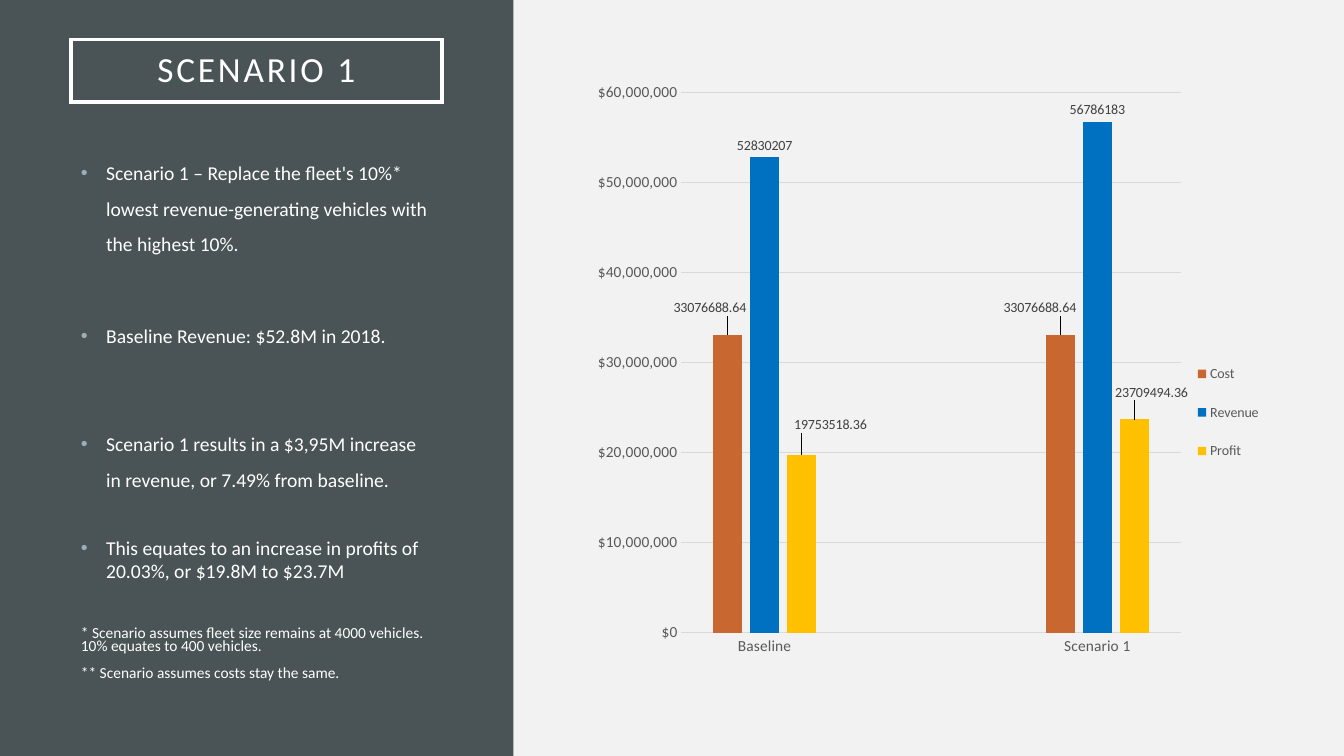
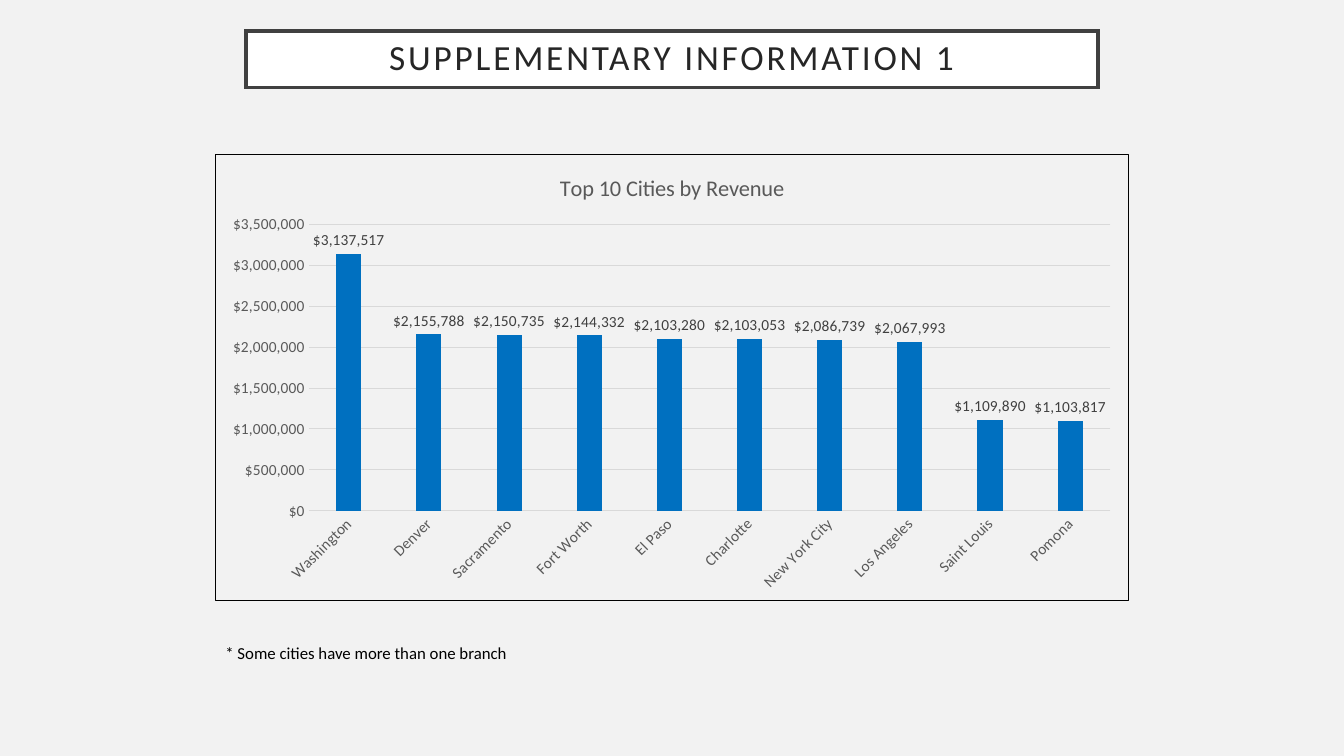
from lxml import etree
from pptx import Presentation
from pptx import util as u
from pptx.chart.data import CategoryChartData
from pptx.dml.color import RGBColor
from pptx.enum import chart as ch, shapes, text
from pptx.oxml import parse_xml
from pptx.oxml.ns import nsdecls, qn

# Content: boxes are left, top, width, height in percent of the slide
HUES = dict(page="F2F2F2", panel="4A5356", white="FFFFFF", frame="404040",
            title="262626", dot="9BAFB5", axis="595959", grid="D9D9D9",
            black="000000", cost="C96731", blue="0070C0", profit="FFC000")
FONT = "Calibri"
MONEY = "[$$-409]#,##0"
# text, size, line spacing, points before, bullet
POINTS = [
    ("Scenario 1 – Replace the fleet's 10%* lowest revenue-generating "
     "vehicles with the highest 10%.", 14, 1.52, 0, True),
    ("Baseline Revenue: $52.8M in 2018.", 14, 1, 48.5, True),
    ("Scenario 1 results in a $3,95M increase in revenue, or 7.49% from "
     "baseline.", 14, 1.52, 52, True),
    ("This equates to an increase in profits of 20.03%, or $19.8M to $23.7M",
     14, 1, 31.5, True),
    ("* Scenario assumes fleet size remains at 4000 vehicles. 10% equates "
     "to 400 vehicles.", 11, 0.7, 32.5, False),
    ("** Scenario assumes costs stay the same.", 11, 0.7, 10, False),
]
# name, colour, values, label shifts by point in percent of the chart
PLANS = ["Baseline", "", "Scenario 1"]
FLEET = [
    ("Cost", "cost", [33076688.64, None, 33076688.64],
     {0: (-2.6, -2.5), 2: (-3, -2.5)}),
    ("Revenue", "blue", [52830207, None, 56786183], {}),
    ("Profit", "profit", [19753518.36, None, 23709494.36],
     {0: (4.2, -3), 2: (2.5, -2.5)}),
]
CITIES = {"Washington": 3137517, "Denver": 2155788, "Sacramento": 2150735,
          "Fort Worth": 2144332, "El Paso": 2103280, "Charlotte": 2103053,
          "New York City": 2086739, "Los Angeles": 2067993,
          "Saint Louis": 1109890, "Pomona": 1103817}

deck = Presentation()
deck.slide_width, deck.slide_height = u.Inches(13.33), u.Inches(7.5)


def rgb(hue):
    return RGBColor.from_string(HUES[hue])


def place(box):
    sides = (deck.slide_width, deck.slide_height) * 2
    return [int(part * side / 100) for part, side in zip(box, sides)]


# Text
def style(font, size, hue):
    font.name, font.size, font.bold = FONT, u.Pt(size), False
    font.color.rgb = rgb(hue)


def write(para, words, size=14, hue="white", line=1, before=0, dot=False,
          space=0, align=None):
    run = para.add_run()
    run.text = words
    style(run.font, size, hue)
    para.line_spacing, para.space_before = line, u.Pt(before)
    para.alignment = align
    if space:
        run.font._element.set("spc", str(space * 100))
    if dot:
        props = para._p.get_or_add_pPr()
        props.set("marL", str(u.Inches(0.25)))
        props.set("indent", str(-u.Inches(0.25)))
        tint = etree.SubElement(props, qn("a:buClr"))
        etree.SubElement(tint, qn("a:srgbClr")).set("val", HUES["dot"])
        etree.SubElement(props, qn("a:buFont")).set("typeface", "Arial")
        etree.SubElement(props, qn("a:buChar")).set("char", "•")


def frame(slide, box):
    body = slide.shapes.add_textbox(*place(box)).text_frame
    body.word_wrap = True
    return body


# Shared page parts
def block(slide, box, fill=None, line=None):
    shape = slide.shapes.add_shape(shapes.MSO_SHAPE.RECTANGLE, *place(box))
    shape.shadow.inherit = False
    if fill:
        shape.fill.solid()
        shape.fill.fore_color.rgb = rgb(fill)
    else:
        shape.fill.background()
    if line:
        shape.line.color.rgb = rgb(line)
        shape.line.width = u.Pt(2.5)
        edge = shape._element.spPr.find(qn("a:ln"))
        etree.SubElement(edge, qn("a:miter")).set("lim", "800000")
    else:
        shape.line.fill.background()
    return shape


def page():
    slide = deck.slides.add_slide(deck.slide_layouts[6])
    slide.background.fill.solid()
    slide.background.fill.fore_color.rgb = rgb("page")
    return slide


def title(slide, words, box, hue, line, fill=None):
    body = block(slide, box, fill, line).text_frame
    body.word_wrap = True
    body.vertical_anchor = text.MSO_ANCHOR.MIDDLE
    body.margin_left = body.margin_right = u.Inches(0.2)
    body.margin_top = body.margin_bottom = u.Inches(0.2)
    write(body.paragraphs[0], words, size=25.2, hue=hue, line=0.9, space=2,
          align=text.PP_ALIGN.CENTER)


# Charts
def layout(inner=False, edge=True, **spots):
    """Manual layout; spots x, y, w, h are percent of the chart."""
    rows = '<c:layoutTarget val="inner"/>' if inner else ""
    if edge:
        rows += '<c:xMode val="edge"/><c:yMode val="edge"/>'
    rows += "".join(f'<c:{key} val="{val / 100:.3f}"/>'
                    for key, val in spots.items())
    return parse_xml(f'<c:layout {nsdecls("c")}><c:manualLayout>{rows}'
                     '</c:manualLayout></c:layout>')


def set_plan(node, plan, after=None):
    for old in node.findall(qn("c:layout")):
        node.remove(old)
    if after is None:
        node.insert(0, plan)
    else:
        node.find(qn(after)).addnext(plan)


def border(chart, hue=None):
    line = (f'<a:ln w="9525"><a:solidFill><a:srgbClr val="{HUES[hue]}"/>'
            '</a:solidFill></a:ln>' if hue else '<a:ln><a:noFill/></a:ln>')
    props = parse_xml(f'<c:spPr {nsdecls("c", "a")}><a:noFill/>{line}</c:spPr>')
    chart._chartSpace.find(qn("c:txPr")).addprevious(props)


def no_leads(tags):
    """Turn off the lines from shifted labels to their bars."""
    tags._element.append(parse_xml(
        f'<c:extLst {nsdecls("c")}>'
        '<c:ext uri="{CE6537A1-D6FC-4f65-9D91-7224C49458BB}" xmlns:c15='
        '"http://schemas.microsoft.com/office/drawing/2012/chart">'
        '<c15:showLeaderLines val="0"/></c:ext></c:extLst>'))


def bars(slide, box, cats, rows, area, top, step, size=10, fmt="General"):
    data = CategoryChartData(number_format=fmt)
    data.categories = cats
    for name, _, vals, _ in rows:
        data.add_series(name, vals)
    chart = slide.shapes.add_chart(ch.XL_CHART_TYPE.COLUMN_CLUSTERED,
                                   *place(box), data).chart
    style(chart.font, 10, "black")
    chart.has_title = chart.has_legend = False
    plot = chart.plots[0]
    plot.gap_width, plot.overlap, plot.vary_by_categories = 219, -27, False
    set_plan(chart._chartSpace.chart.plotArea,
             layout(inner=True, **dict(zip("xywh", area))))

    for axis in (chart.category_axis, chart.value_axis):
        style(axis.tick_labels.font, 11, "axis")
        axis.major_tick_mark = axis.minor_tick_mark = ch.XL_TICK_MARK.NONE
    low, up = chart.category_axis, chart.value_axis
    up.minimum_scale, up.maximum_scale, up.major_unit = 0, top, step
    up.tick_labels.number_format = MONEY
    up.tick_labels.number_format_is_linked = False
    up.format.line.fill.background()
    for line in (low.format.line, up.major_gridlines.format.line):
        line.color.rgb, line.width = rgb("grid"), u.Pt(0.75)

    for ser, (_, hue, _, shifts) in zip(plot.series, rows):
        ser.format.fill.solid()
        ser.format.fill.fore_color.rgb = rgb(hue)
        tags = ser.data_labels
        tags.show_value = True
        tags.position = ch.XL_LABEL_POSITION.OUTSIDE_END
        tags.number_format, tags.number_format_is_linked = fmt, False
        style(tags.font, size, "frame")
        for spot, (x, y) in shifts.items():
            tag = ser.points[spot].data_label
            style(tag.font, size, "frame")
            tag.position = ch.XL_LABEL_POSITION.OUTSIDE_END
            node = tags._element.xpath(f'c:dLbl[c:idx/@val="{spot}"]')[0]
            set_plan(node, layout(edge=False, x=x, y=y), after="c:idx")
        no_leads(tags)
    return chart


def scenario():
    slide = page()
    block(slide, (0, 0, 38.2, 100), fill="panel")
    title(slide, "SCENARIO 1", (5.28, 5.2, 27.6, 8.27), "white", "white")
    body = frame(slide, (5.28, 19, 27.6, 75))
    for i, (words, size, line, before, dot) in enumerate(POINTS):
        para = body.add_paragraph() if i else body.paragraphs[0]
        write(para, words, size=size, line=line, before=before, dot=dot)
    chart = bars(slide, (43.37, 9.42, 51.3, 78.93), PLANS, FLEET,
                 (14.3, 3.6, 72.4, 90.5), 60000000, 10000000)
    border(chart)
    chart.has_legend = True
    key = chart.legend
    key.position, key.include_in_layout = ch.XL_LEGEND_POSITION.RIGHT, False
    style(key.font, 10, "axis")
    set_plan(key._element, layout(x=88.1, y=45.6, w=11, h=23.2),
             after="c:legendPos")


def supplement():
    slide = page()
    title(slide, "SUPPLEMENTARY INFORMATION 1", (18.3, 4.13, 63.4, 7.47),
          "title", "frame", "white")
    rows = [("Series 1", "blue", list(CITIES.values()), {})]
    chart = bars(slide, (16, 20.43, 68.02, 59.07), list(CITIES), rows,
                 (10.2, 15.6, 87.8, 64.3), 3500000, 500000, 11, MONEY)
    border(chart, "black")
    turn = chart.category_axis._element.find(qn("c:txPr"))
    turn.find(qn("a:bodyPr")).set("rot", str(-45 * 60000))
    write(chart.chart_title.text_frame.paragraphs[0],
          "Top 10 Cities by Revenue", size=16, hue="axis")
    chart.chart_title.include_in_layout = False
    note = frame(slide, (16.03, 84.4, 33.83, 4))
    write(note.paragraphs[0], "* Some cities have more than one branch",
          size=12, hue="black")


if __name__ == "__main__":
    scenario()
    supplement()
    deck.save("out.pptx")
